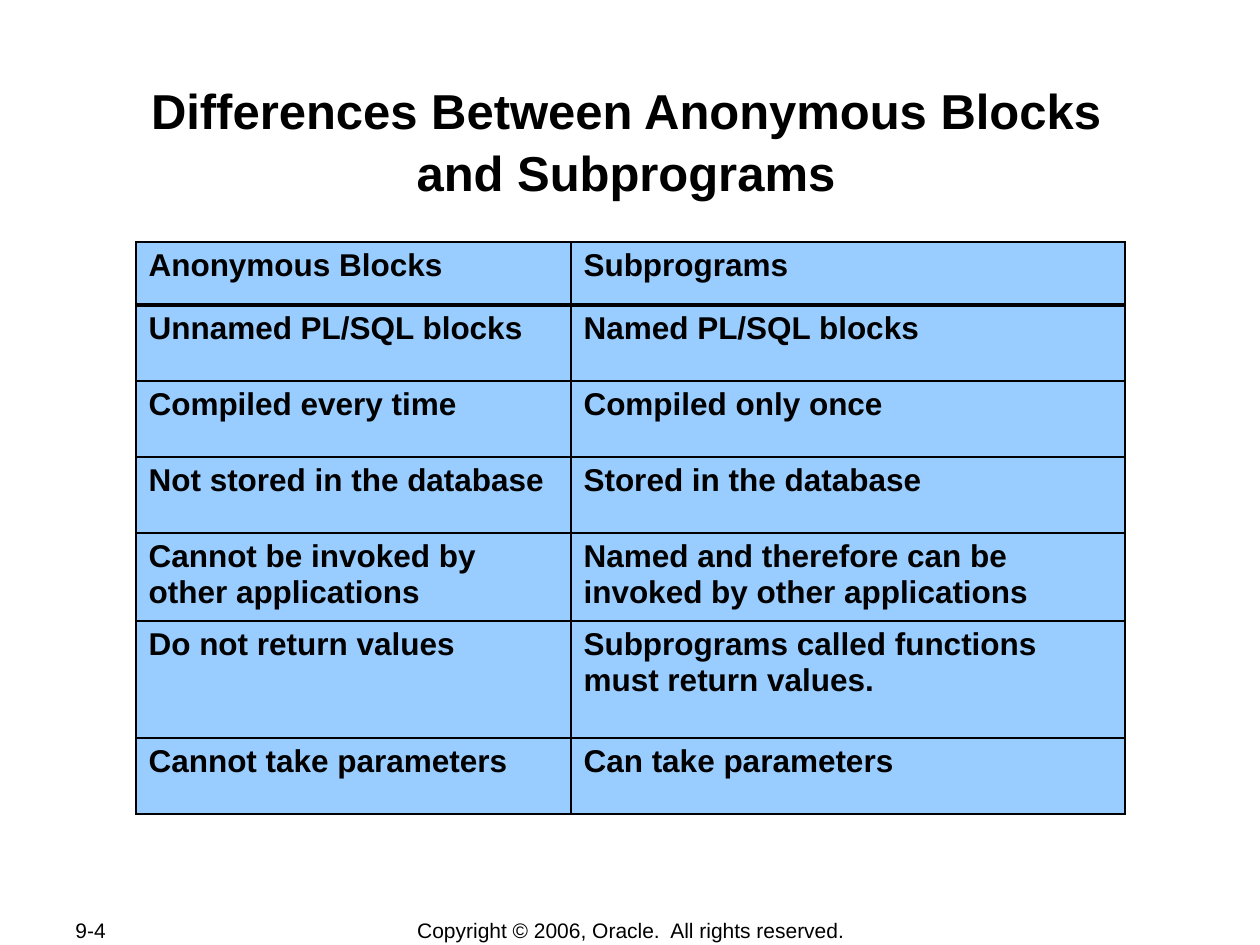
"""Build a slide with a table comparing anonymous blocks and subprograms."""
from lxml import etree
from pptx import Presentation
from pptx.dml.color import RGBColor
from pptx.enum.text import MSO_ANCHOR, MSO_AUTO_SIZE, PP_ALIGN
from pptx.oxml.ns import qn
from pptx.util import Pt

PX = 914400 // 126
LEFT, CENTER = PP_ALIGN.LEFT, PP_ALIGN.CENTER
TOP, MIDDLE = MSO_ANCHOR.TOP, MSO_ANCHOR.MIDDLE
NO_FIT = MSO_AUTO_SIZE.NONE
BLACK, SKY = "000000", "99CCFF"
THIN, THICK = Pt(1.08), Pt(2.21)

ROWS = [
    ("Anonymous Blocks", "Subprograms", 63),
    ("Unnamed PL/SQL blocks", "Named PL/SQL blocks", 76),
    ("Compiled every time", "Compiled only once", 76),
    ("Not stored in the database", "Stored in the database", 76),
    ("Cannot be invoked by other applications",
     "Named and therefore can be invoked by other applications", 88),
    ("Do not return values", "Subprograms called functions must return values.", 117),
    ("Cannot take parameters", "Can take parameters", 76),
]
COLUMN_WIDTHS = [435, 554]
FOOTERS = [
    ("9-4", 63, 134, LEFT),
    ("Copyright © 2006, Oracle.  All rights reserved.", 348, 566, CENTER),
]


def write_text(frame, text, size=18, bold=False, align=LEFT, spacing=1.0):
    frame.word_wrap = True
    paragraph = frame.paragraphs[0]
    paragraph.alignment = align
    paragraph.line_spacing = spacing
    paragraph.space_before = Pt(0)
    run = paragraph.add_run()
    run.text = text
    run.font.name = "Arial"
    run.font.size = Pt(size)
    run.font.bold = bold
    run.font.color.rgb = RGBColor.from_string(BLACK)


def set_borders(cell, top, bottom):
    properties = cell._tc.get_or_add_tcPr()
    widths = {"a:lnL": THIN, "a:lnR": THIN, "a:lnT": top, "a:lnB": bottom}
    for position, (tag, width) in enumerate(widths.items()):
        line = etree.Element(qn(tag), w=str(int(width)))
        fill = etree.SubElement(line, qn("a:solidFill"))
        etree.SubElement(fill, qn("a:srgbClr"), val=BLACK)
        properties.insert(position, line)


presentation = Presentation()
presentation.slide_width = 1260 * PX
presentation.slide_height = 945 * PX
slide = presentation.slides.add_slide(presentation.slide_layouts[5])

title = slide.shapes.title
title.left, title.top, title.width, title.height = 122 * PX, 73 * PX, 1008 * PX, 121 * PX
title_frame = title.text_frame
title_frame.auto_size = NO_FIT
title_frame.vertical_anchor = TOP
title_frame.margin_left = title_frame.margin_right = title_frame.margin_bottom = PX
title_frame.margin_top = 5 * PX
write_text(title_frame, "Differences Between Anonymous Blocks and Subprograms",
           size=28, bold=True, align=CENTER, spacing=1.05)

table_height = sum(row[-1] for row in ROWS)
table = slide.shapes.add_table(len(ROWS), len(COLUMN_WIDTHS), 136 * PX, 242 * PX,
                               sum(COLUMN_WIDTHS) * PX, table_height * PX).table
for column, width in zip(table.columns, COLUMN_WIDTHS):
    column.width = width * PX
for row_index, (*texts, height) in enumerate(ROWS):
    table.rows[row_index].height = height * PX
    for column_index, text in enumerate(texts):
        cell = table.cell(row_index, column_index)
        cell.fill.solid()
        cell.fill.fore_color.rgb = RGBColor.from_string(SKY)
        set_borders(cell, top=THICK if row_index == 1 else THIN,
                    bottom=THICK if row_index == 0 else THIN)
        write_text(cell.text_frame, text, bold=True)

for text, left, width, align in FOOTERS:
    footer = slide.shapes.add_textbox(left * PX, 917 * PX, width * PX, 26 * PX)
    footer.text_frame.vertical_anchor = MIDDLE
    write_text(footer.text_frame, text, size=12, align=align)

presentation.save("out.pptx")
